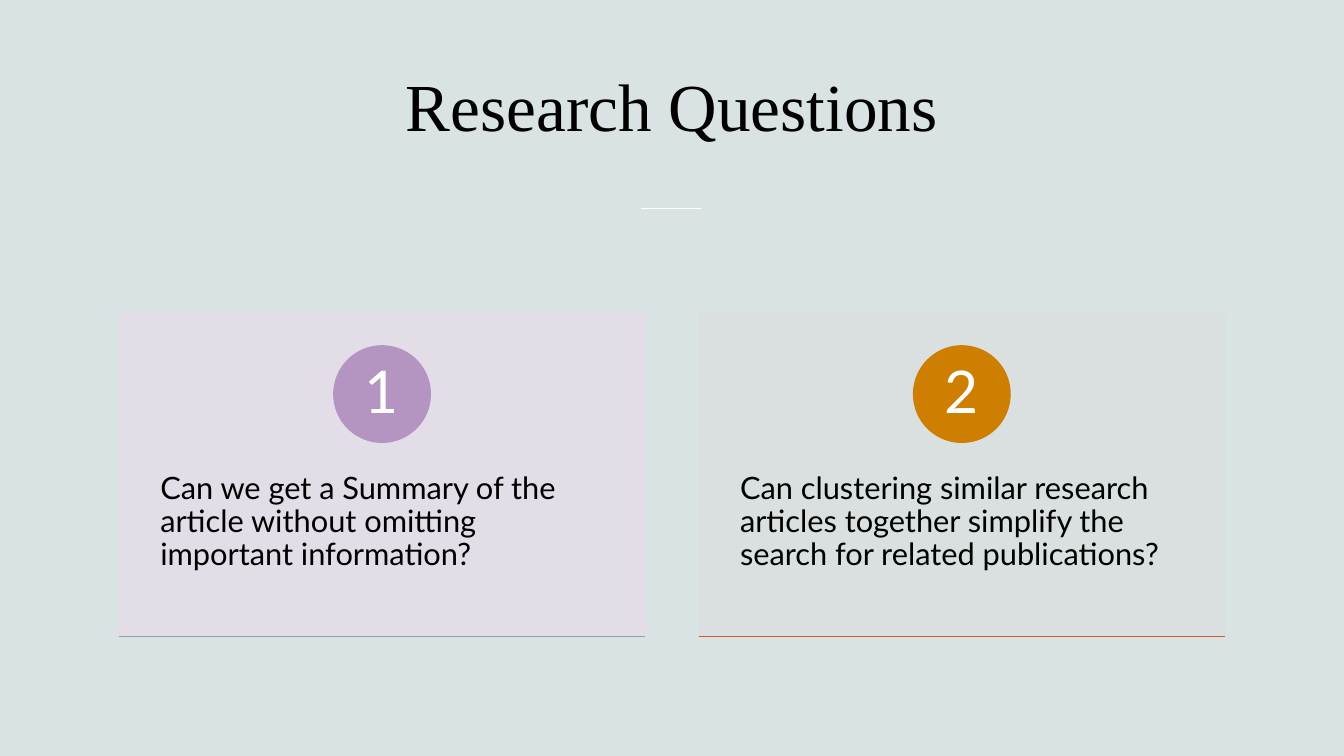
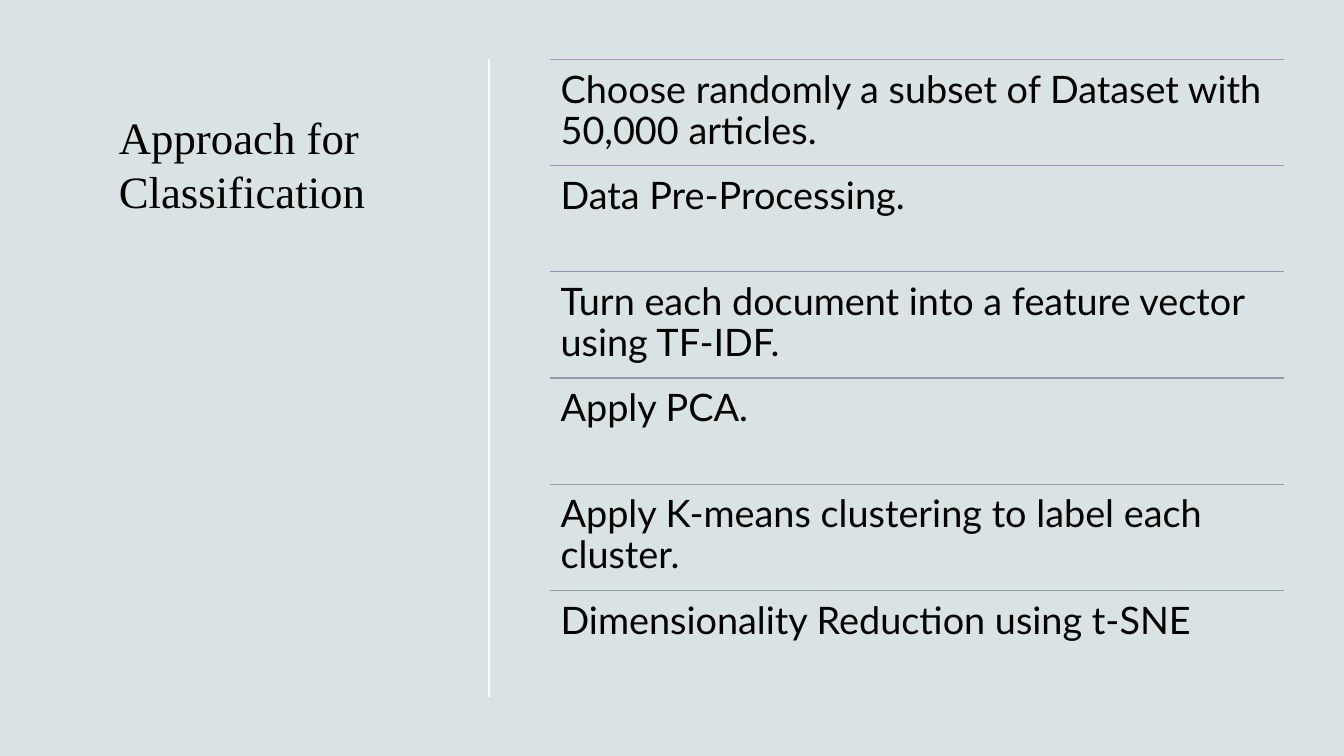
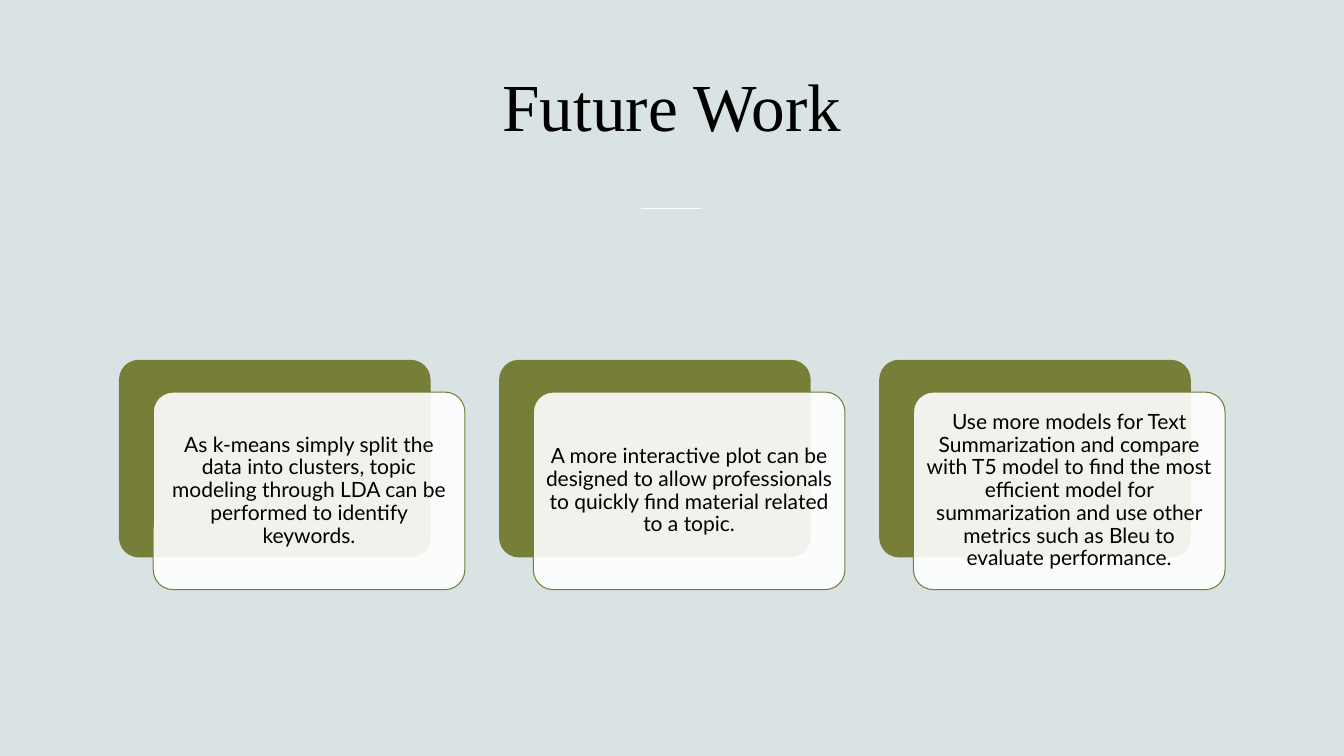
from lxml import etree
from pptx import Presentation
from pptx.dml.color import RGBColor
from pptx.enum.shapes import MSO_CONNECTOR, MSO_SHAPE
from pptx.enum.text import MSO_ANCHOR, PP_ALIGN
from pptx.oxml.ns import qn
from pptx.util import Inches, Pt

# Shared style
COLORS = {
    "background": "DAE3E3", "black": "000000", "white": "FFFFFF",
    "lilac": "B495C2", "pale_lilac": "E5DDE9",
    "amber": "CE7F01", "pale_grey": "DBE0E0",
    "sage": "8FA3A3", "rust": "D15A29", "olive": "767E37",
    "step1": "B495C2", "step2": "A293BC", "step3": "9292B6",
    "step4": "919BB0", "step5": "90A1AA", "step6": "8FA3A3",
}
TITLE_FONT, BODY_FONT = "Times New Roman", "Lato"
LEFT, CENTER = PP_ALIGN.LEFT, PP_ALIGN.CENTER
TOP, MIDDLE = MSO_ANCHOR.TOP, MSO_ANCHOR.MIDDLE
RECT, OVAL, ROUNDED = MSO_SHAPE.RECTANGLE, MSO_SHAPE.OVAL, MSO_SHAPE.ROUNDED_RECTANGLE
STRAIGHT = MSO_CONNECTOR.STRAIGHT
MARGIN = 1.18

# Content
QUESTIONS = [
    ("Can we get a Summary of the article without omitting important information?",
     "pale_lilac", "lilac", "sage"),
    ("Can clustering similar research articles together simplify the search for "
     "related publications?", "pale_grey", "amber", "rust"),
]
STEPS = [
    "Choose randomly a subset of Dataset with 50,000 articles.",
    "Data Pre-Processing.",
    "Turn each document into a feature vector using TF-IDF.",
    "Apply PCA.",
    "Apply K-means clustering to label each cluster.",
    "Dimensionality Reduction using t-SNE",
]
IDEAS = [
    "As k-means simply split the data into clusters, topic modeling through LDA "
    "can be performed to identify keywords.",
    "A more interactive plot can be designed to allow professionals to quickly "
    "find material related to a topic.",
    "Use more models for Text Summarization and compare with T5 model to find the "
    "most efficient model for summarization and use other metrics such as Bleu to "
    "evaluate performance.",
]


def rgb(name):
    return RGBColor.from_string(COLORS[name])


# Element helpers
def write(sp, text, size, font=BODY_FONT, color="black", align=LEFT, anchor=TOP,
          insets=(0.1, 0.05, 0.1, 0.05), spacing=0.9):
    tf = sp.text_frame
    tf.word_wrap = True
    tf.vertical_anchor = anchor
    tf.margin_left, tf.margin_top, tf.margin_right, tf.margin_bottom = map(Inches, insets)
    p = tf.paragraphs[0]
    p.alignment = align
    p.line_spacing = spacing
    r = p.add_run()
    r.text = text
    r.font.name, r.font.size = font, Pt(size)
    r.font.color.rgb = rgb(color)


def add_text(s, box, text, size, **fmt):
    write(s.shapes.add_textbox(*map(Inches, box)), text, size, **fmt)


def add_shape(s, kind, box, fill, line=None):
    sp = s.shapes.add_shape(kind, *map(Inches, box))
    sp.shadow.inherit = False
    sp.fill.solid()
    sp.fill.fore_color.rgb = rgb(fill)
    if line:
        sp.line.color.rgb = rgb(line)
        sp.line.width = Pt(0.75)
    else:
        sp.line.fill.background()
    if kind == ROUNDED:
        sp.adjustments[0] = 0.1
    return sp


def fade(sp, outline=False):
    """Make the fill, and if asked the outline, 90% opaque."""
    fills = [sp.element.spPr.find(qn("a:solidFill"))]
    if outline:
        fills.append(sp.element.spPr.find(qn("a:ln")))
    for fill in fills:
        for clr in fill.iter(qn("a:srgbClr")):
            etree.SubElement(clr, qn("a:alpha"), val="90000")


def add_line(s, x1, y1, x2, y2, color="white", width=1):
    line = s.shapes.add_connector(STRAIGHT, *map(Inches, (x1, y1, x2, y2)))
    line.line.color.rgb = rgb(color)
    line.line.width = Pt(width)
    etree.SubElement(line.element.spPr, qn("a:effectLst"))


def add_slide(prs):
    return prs.slides.add_slide(prs.slide_layouts[6])


def add_centered_title(s, text):
    add_text(s, (1.08, 0.28, 11.17, 1.52), text, 48, font=TITLE_FONT,
             align=CENTER, anchor=MIDDLE, spacing=1.0)
    add_line(s, 6.36, 2.07, 6.95, 2.07)


# Slides
def questions_slide(prs):
    s = add_slide(prs)
    add_centered_title(s, "Research Questions")
    top, width, height, pitch, badge = 3.11, 5.22, 3.2, 5.75, 0.96
    for i, (question, fill, accent, rule) in enumerate(QUESTIONS):
        x = MARGIN + i * pitch
        card = add_shape(s, RECT, (x, top, width, height), fill, line=fill)
        fade(card, outline=True)
        write(card, question, 22, insets=(0.41, 1.58, 0.41, 0.42))
        circle = add_shape(s, OVAL, (x + (width - badge) / 2, top + 0.32, badge, badge),
                           accent, line=accent)
        write(circle, str(i + 1), 42, color="white", align=CENTER, anchor=MIDDLE,
              insets=(0.07, 0.01, 0.07, 0.01))
        add_line(s, x, top + height, x + width, top + height, rule, 0.75)


def approach_slide(prs):
    s = add_slide(prs)
    add_text(s, (1.08, 1.04, 3.06, 5.13), "Approach for Classification", 32,
             font=TITLE_FONT, spacing=1.0)
    left, width, top, bottom = 5.45, 7.29, 0.59, 6.91
    add_line(s, 4.85, top, 4.85, bottom)
    row = (bottom - top) / len(STEPS)
    for i, step in enumerate(STEPS):
        y = top + i * row
        add_line(s, left, y, left + width, y, f"step{i + 1}", 0.75)
        add_text(s, (left, y, width, row), step, 27, insets=(0.11,) * 4)


def future_slide(prs):
    s = add_slide(prs)
    add_centered_title(s, "Future Work")
    top, width, height, pitch = 3.57, 3.09, 1.96, 3.77
    for i, idea in enumerate(IDEAS):
        x = MARGIN + i * pitch
        add_shape(s, ROUNDED, (x, top, width, height), "olive")
        card = add_shape(s, ROUNDED, (x + 0.34, top + 0.32, width, height),
                         "white", line="olive")
        fade(card)
        write(card, idea, 15, align=CENTER, anchor=MIDDLE, insets=(0.06,) * 4)


def main():
    prs = Presentation()
    prs.slide_width, prs.slide_height = Inches(13.33), Inches(7.5)
    background = prs.slide_master.background.fill
    background.solid()
    background.fore_color.rgb = rgb("background")
    questions_slide(prs)
    approach_slide(prs)
    future_slide(prs)
    prs.save("out.pptx")


if __name__ == "__main__":
    main()
